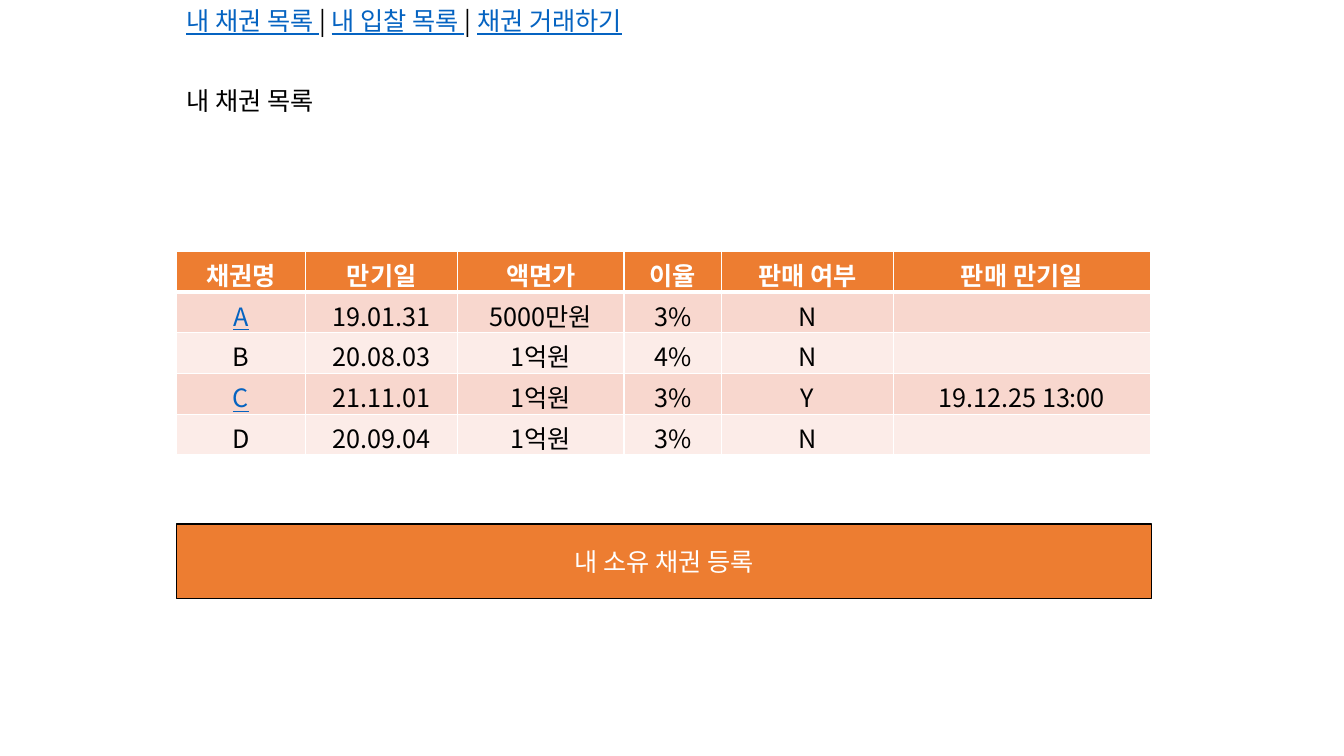
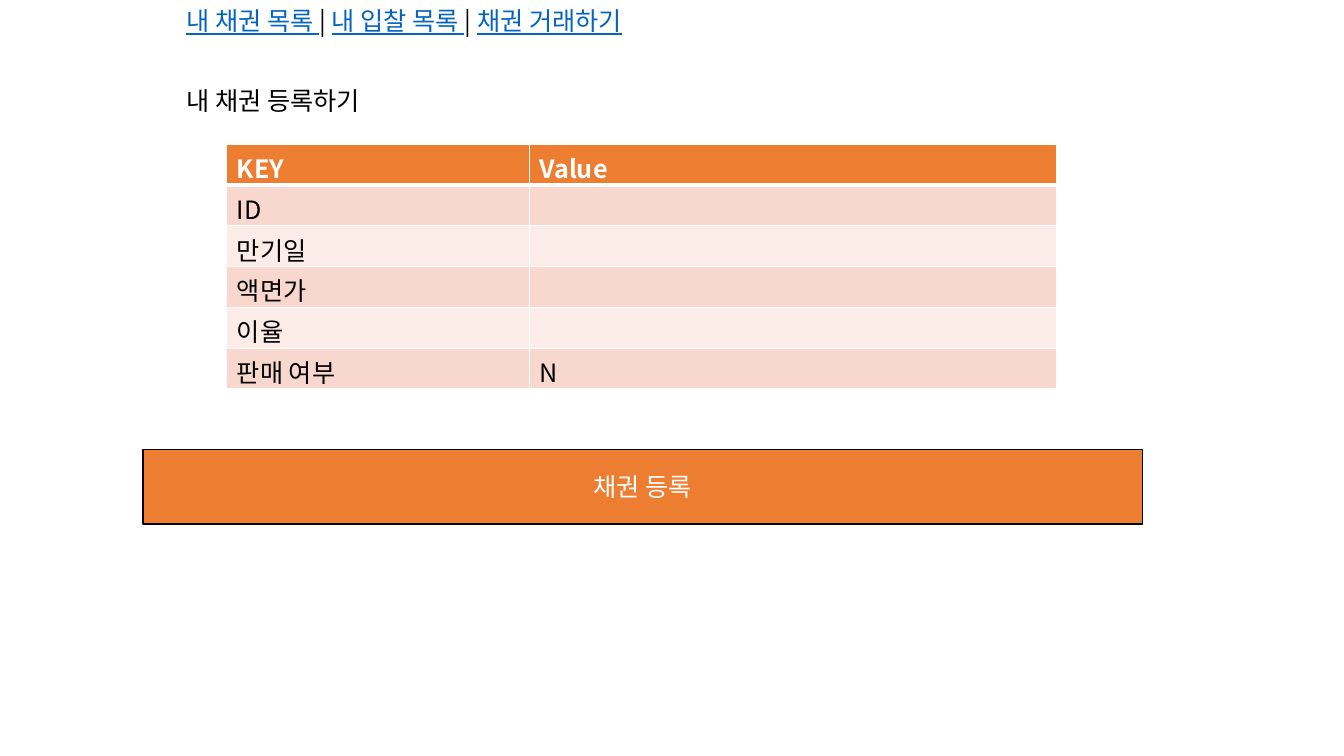
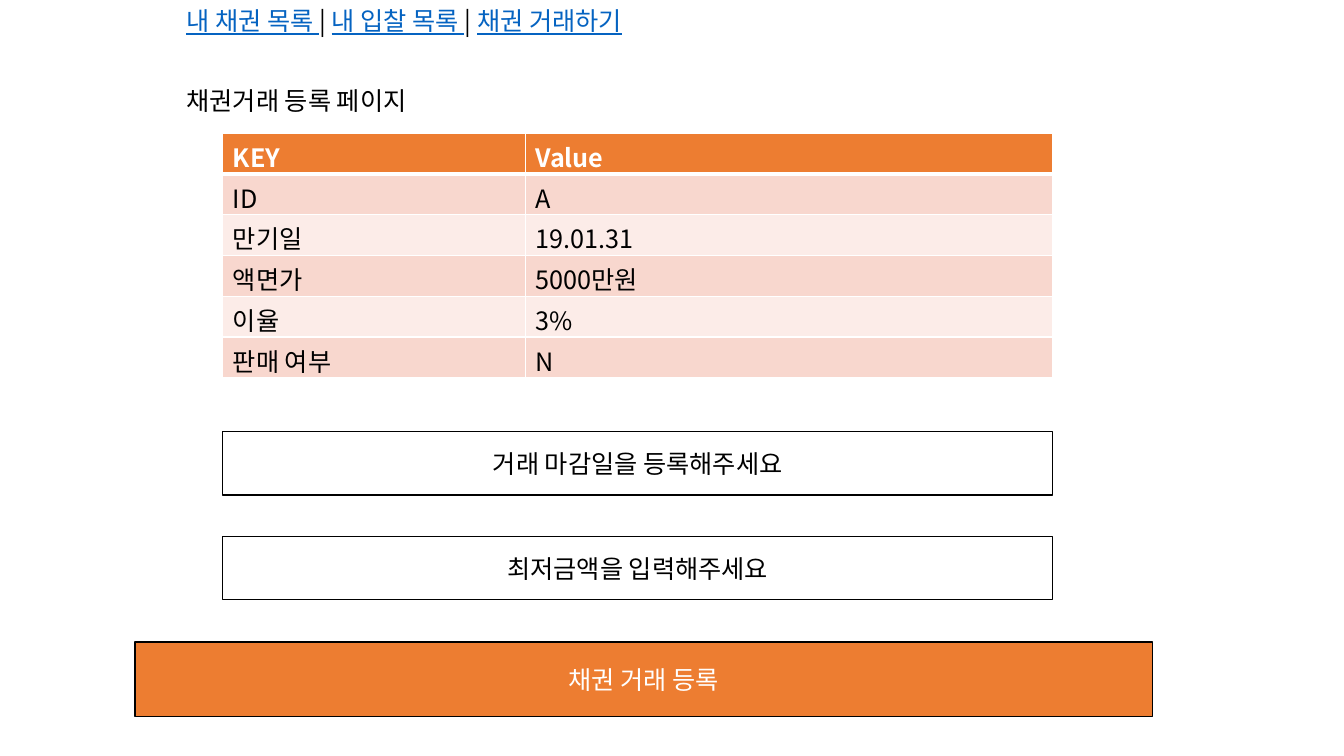
from lxml.etree import SubElement
from pptx import Presentation
from pptx.dml.color import RGBColor
from pptx.enum.shapes import MSO_SHAPE
from pptx.enum.text import MSO_ANCHOR as Anchor, MSO_AUTO_SIZE as AutoSize, PP_ALIGN as Align
from pptx.oxml.ns import qn
from pptx.util import Inches, Pt

FONT = "Noto Sans CJK KR"
WHITE, BLACK, ORANGE, LINK = "FFFFFF", "000000", "ED7D31", "0563C1"
BANDS = ("F8D7CE", "FCECE8")
NAVIGATION = ("내 채권 목록 ", "내 입찰 목록 ", "채권 거래하기")
PAGE_LEFT = 1.75
ROW_HEIGHT = 0.405
BUTTON_HEIGHT, FIELD_HEIGHT = 0.74, 0.63
FIELD_LEFT, FIELD_WIDTH = 2.21, 8.23
KEY_COLUMNS = (3, 5.23)
KEYS = ("ID", "만기일", "액면가", "이율", "판매 여부")


def color(value):
    """Turn a hex string into a colour."""
    return RGBColor.from_string(value)


def add_text(paragraph, text, fill=BLACK, bold=False, underline=False, align=None):
    """Append a formatted run to a paragraph."""
    if align is not None:
        paragraph.alignment = align
    run = paragraph.add_run()
    run.text = text
    font = run.font
    font.name, font.size = FONT, Pt(18)
    font.bold, font.underline = bold, underline
    font.color.rgb = color(fill)
    SubElement(font._element, qn("a:ea"), typeface=FONT)


def fit_frame(shape):
    """Let the frame grow around one unwrapped line."""
    frame = shape.text_frame
    frame.word_wrap = False
    frame.auto_size = AutoSize.SHAPE_TO_FIT_TEXT
    frame.vertical_anchor = Anchor.TOP
    return frame.paragraphs[0]


def add_navigation(slide):
    """Add the row of page links."""
    box = slide.shapes.add_textbox(Inches(PAGE_LEFT), 0, Inches(5.16), Inches(0.4))
    paragraph = fit_frame(box)
    for index, label in enumerate(NAVIGATION):
        if index:
            add_text(paragraph, "| ")
        add_text(paragraph, label, fill=LINK, underline=True)


def add_page(presentation, title, title_width):
    """Add a slide with its title and navigation."""
    slide = presentation.slides.add_slide(presentation.slide_layouts[5])
    heading = slide.shapes.title
    heading.left, heading.top = Inches(PAGE_LEFT), Inches(0.8)
    heading.width, heading.height = Inches(title_width), Inches(0.4)
    add_text(fit_frame(heading), title, align=Align.LEFT)
    add_navigation(slide)
    return slide


def add_box(slide, text, left, top, width, height, fill=None, text_fill=BLACK):
    """Add an outlined rectangle with centred text."""
    box = slide.shapes.add_shape(
        MSO_SHAPE.RECTANGLE, Inches(left), Inches(top), Inches(width), Inches(height))
    box.shadow.inherit = False
    if fill:
        box.fill.solid()
        box.fill.fore_color.rgb = color(fill)
    else:
        box.fill.background()
    box.line.color.rgb = color(BLACK)
    box.line.width = Pt(1)
    box.text_frame.vertical_anchor = Anchor.MIDDLE
    add_text(box.text_frame.paragraphs[0], text, fill=text_fill, align=Align.CENTER)


def add_button(slide, text, left, top, width):
    """Add an orange action button."""
    add_box(slide, text, left, top, width, BUTTON_HEIGHT, fill=ORANGE, text_fill=WHITE)


def style_cell(cell, row):
    """Give a cell its white borders and its band colour."""
    properties = cell._tc.get_or_add_tcPr()
    widths = {"lnL": 1, "lnR": 1, "lnT": 3 if row == 1 else 1, "lnB": 3 if row == 0 else 1}
    for side, width in widths.items():
        line = SubElement(properties, qn(f"a:{side}"), w=str(Pt(width)))
        solid = SubElement(line, qn("a:solidFill"))
        SubElement(solid, qn("a:srgbClr"), val=WHITE)
    cell.fill.solid()
    cell.fill.fore_color.rgb = color(BANDS[(row - 1) % 2] if row else ORANGE)


def add_table(slide, rows, left, top, columns, align=Align.LEFT, links=()):
    """Add a banded table with a header row."""
    table = slide.shapes.add_table(
        len(rows), len(columns), Inches(left), Inches(top),
        Inches(sum(columns)), Inches(ROW_HEIGHT * len(rows))).table
    for column, width in zip(table.columns, columns):
        column.width = Inches(width)
    for row, values in enumerate(rows):
        for column, value in enumerate(values):
            cell = table.cell(row, column)
            style_cell(cell, row)
            if not value:
                continue
            linked = value in links
            fill = WHITE if row == 0 else LINK if linked else BLACK
            add_text(cell.text_frame.paragraphs[0], value, fill=fill,
                     bold=row == 0, underline=linked, align=align)


def add_key_table(slide, values, left, top):
    """Add a table of bond properties."""
    add_table(slide, [("KEY", "Value"), *zip(KEYS, values)], left, top, KEY_COLUMNS)


def build_bond_list(presentation):
    """Build the list of owned bonds."""
    slide = add_page(presentation, "내 채권 목록", 1.64)
    bonds = [
        ("채권명", "만기일", "액면가", "이율", "판매 여부", "판매 만기일"),
        ("A", "19.01.31", "5000만원", "3%", "N", ""),
        ("B", "20.08.03", "1억원", "4%", "N", ""),
        ("C", "21.11.01", "1억원", "3%", "Y", "19.12.25 13:00"),
        ("D", "20.09.04", "1억원", "3%", "N", ""),
    ]
    add_table(slide, bonds, PAGE_LEFT, 2.49, (1.28, 1.51, 1.65, 0.97, 1.7, 2.55),
              align=Align.CENTER, links=("A", "C"))
    add_button(slide, "내 소유 채권 등록", PAGE_LEFT, 5.2, 9.67)


def build_bond_registration(presentation):
    """Build the form that registers a bond."""
    slide = add_page(presentation, "내 채권 등록하기", 2.15)
    add_key_table(slide, ("", "", "", "", "N"), 2.25, 1.43)
    add_button(slide, "채권 등록", 1.42, 4.46, 9.91)


def build_trade_registration(presentation):
    """Build the form that registers a trade."""
    slide = add_page(presentation, "채권거래 등록 페이지", 2.65)
    add_key_table(slide, ("A", "19.01.31", "5000만원", "3%", "N"), FIELD_LEFT, 1.32)
    prompts = ("거래 마감일을 등록해주세요", "최저금액을 입력해주세요")
    for index, prompt in enumerate(prompts):
        add_box(slide, prompt, FIELD_LEFT, 4.28 + 1.04 * index, FIELD_WIDTH, FIELD_HEIGHT)
    add_button(slide, "채권 거래 등록", 1.34, 6.37, 10.09)


def main():
    """Build and save the presentation."""
    presentation = Presentation()
    presentation.slide_width, presentation.slide_height = Inches(13.33), Inches(7.5)
    build_bond_list(presentation)
    build_bond_registration(presentation)
    build_trade_registration(presentation)
    presentation.save("out.pptx")


main()
